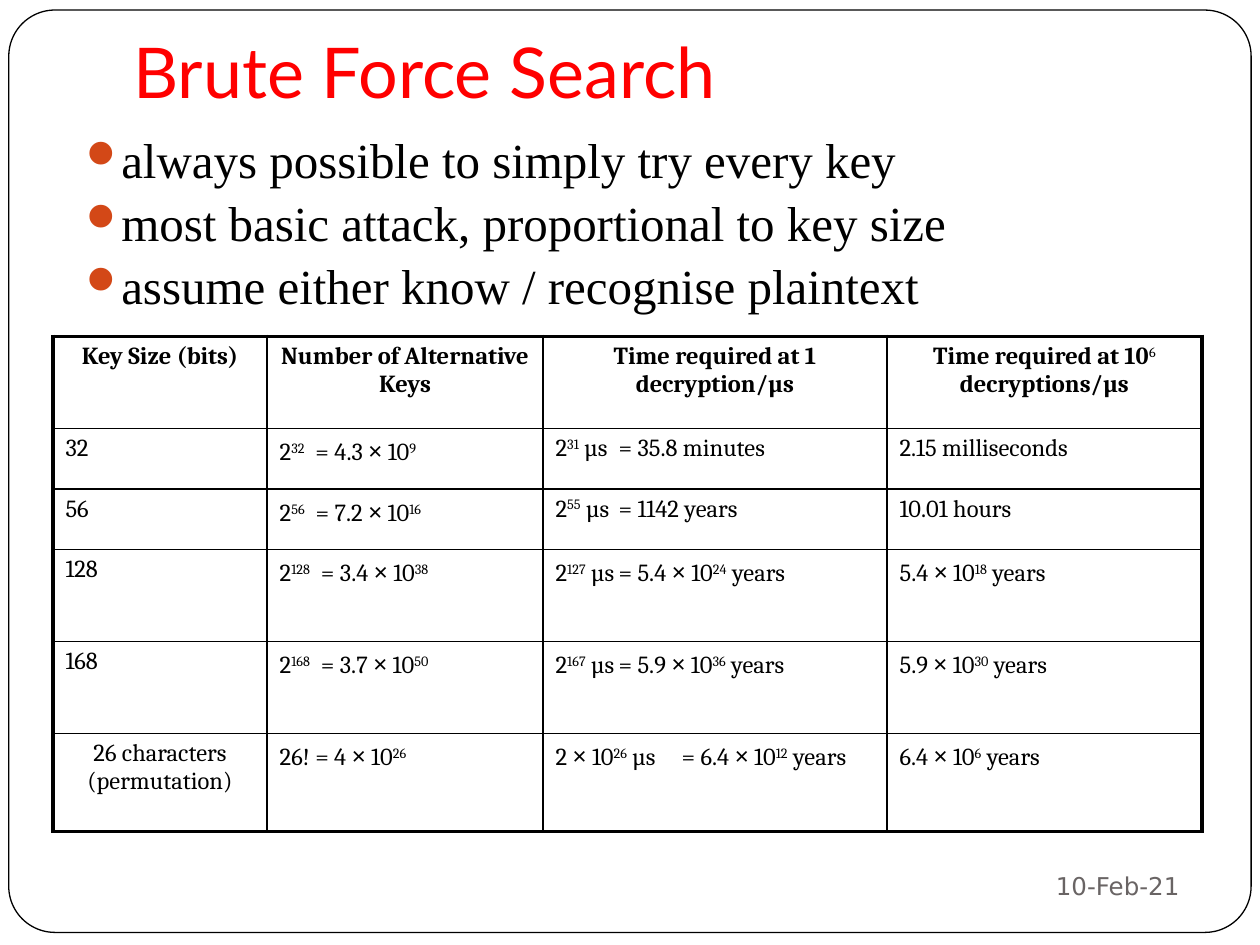
from lxml import etree
from pptx import Presentation
from pptx.dml.color import RGBColor
from pptx.enum.shapes import MSO_SHAPE
from pptx.enum.text import MSO_ANCHOR, PP_ALIGN
from pptx.oxml.ns import qn
from pptx.util import Inches, Pt

ROUND = MSO_SHAPE.ROUNDED_RECTANGLE
TOP, MIDDLE, BOTTOM = MSO_ANCHOR.TOP, MSO_ANCHOR.MIDDLE, MSO_ANCHOR.BOTTOM
LEFT, CENTER, RIGHT = PP_ALIGN.LEFT, PP_ALIGN.CENTER, PP_ALIGN.RIGHT

COLORS = {"page": "FFFFFF", "ink": "000000", "title": "FF0000",
          "bullet": "D34817", "date": "696464"}
GRID_COLS, GRID_ROWS = 100, 75
THIN, THICK = 1, 2.25

POINTS = ["always possible to simply try every key",
          "most basic attack, proportional to key size",
          "assume either know / recognise plaintext"]

COL_WIDTHS = [17, 21.9, 27.3, 25]
ROW_HEIGHTS = [7.3, 4.8, 4.8, 7.3, 7.3, 7.8]
# Text between carets is superscript.
ROWS = [
    ["Key Size (bits)", "Number of Alternative Keys",
     "Time required at 1 decryption/µs", "Time required at 10^6^ decryptions/µs"],
    ["32", "2^32^  = 4.3 × 10^9^", "2^31^ µs\t= 35.8 minutes", "2.15 milliseconds"],
    ["56", "2^56^  = 7.2 × 10^16^", "2^55^ µs\t= 1142 years", "10.01 hours"],
    ["128", "2^128^  = 3.4 × 10^38^", "2^127^ µs\t= 5.4 × 10^24^ years",
     "5.4 × 10^18^ years"],
    ["168", "2^168^  = 3.7 × 10^50^", "2^167^ µs\t= 5.9 × 10^36^ years",
     "5.9 × 10^30^ years"],
    ["26 characters (permutation)", "26! = 4 × 10^26^",
     "2 × 10^26^ µs\t= 6.4 × 10^12^ years", "6.4 × 10^6^ years"],
]


def unit(count):
    return Inches(count / 10)


def paint(name):
    return RGBColor.from_string(COLORS[name])


def add_run(para, text, size, face, color, bold=False):
    run = para.add_run()
    run.text = text
    font = run.font
    font.size, font.name, font.bold = Pt(size), face, bold
    font.color.rgb = paint(color)
    return run


def add_math(para, text, bold):
    for index, part in enumerate(text.split("^")):
        raised = index % 2 == 1
        for bit in filter(None, part.replace("×", "|×|").split("|")):
            face = "Noto Sans" if bit == "×" else "Cambria"
            run = add_run(para, bit, 14, face, "ink", bold and not raised)
            if raised:
                run.font._element.set("baseline", "30000")


def add_frame(slide):
    frame = slide.shapes.add_shape(ROUND, unit(0.7), unit(0.8), unit(98.6), unit(73.2))
    frame.adjustments[0] = 0.05
    frame.shadow.inherit = False
    frame.fill.solid()
    frame.fill.fore_color.rgb = paint("page")
    frame.line.color.rgb = paint("ink")
    frame.line.width = Pt(0.75)


def add_box(slide, left, top, width, height, anchor=TOP):
    box = slide.shapes.add_textbox(unit(left), unit(top), unit(width), unit(height))
    frame = box.text_frame
    frame.word_wrap = True
    frame.vertical_anchor = anchor
    return frame


def add_bullet(para):
    props = para._p.get_or_add_pPr()
    props.set("marL", str(unit(3)))
    props.set("indent", str(-unit(3)))
    color = etree.SubElement(props, qn("a:buClr"))
    etree.SubElement(color, qn("a:srgbClr"), val=COLORS["bullet"])
    etree.SubElement(props, qn("a:buChar"), char="⚫")


def add_list(frame, items):
    for index, item in enumerate(items):
        para = frame.add_paragraph() if index else frame.paragraphs[0]
        add_bullet(para)
        para.line_spacing = 0.9
        if index:
            para.space_before = Pt(5.8)
        add_run(para, item, 28, "Times New Roman", "ink")


def add_edges(cell, edges):
    props = cell._tc.get_or_add_tcPr()
    for side, outer in edges.items():
        width = Pt(THICK if outer else THIN)
        line = etree.SubElement(props, qn(f"a:ln{side}"), w=str(width))
        fill = etree.SubElement(line, qn("a:solidFill"))
        etree.SubElement(fill, qn("a:srgbClr"), val=COLORS["ink"])


def add_grid(slide):
    last_row, last_col = len(ROWS) - 1, len(COL_WIDTHS) - 1
    table = slide.shapes.add_table(
        len(ROWS), len(COL_WIDTHS), unit(4.2), unit(26.7),
        unit(sum(COL_WIDTHS)), unit(sum(ROW_HEIGHTS))).table
    table.first_row = table.horz_banding = False
    for col, width in zip(table.columns, COL_WIDTHS):
        col.width = unit(width)
    for row, height in zip(table.rows, ROW_HEIGHTS):
        row.height = unit(height)
    for y, texts in enumerate(ROWS):
        for x, text in enumerate(texts):
            cell = table.cell(y, x)
            add_edges(cell, {"L": x == 0, "R": x == last_col,
                             "T": y == 0, "B": y == last_row})
            cell.fill.background()
            para = cell.text_frame.paragraphs[0]
            middle = y == 0 or (y == last_row and x == 0)
            para.alignment = CENTER if middle else LEFT
            add_math(para, text, y == 0)


def main():
    deck = Presentation()
    deck.slide_width, deck.slide_height = unit(GRID_COLS), unit(GRID_ROWS)
    slide = deck.slides.add_slide(deck.slide_layouts[6])
    add_frame(slide)

    title = add_box(slide, 9.6, 1.2, 85, 8.7, BOTTOM)
    title.margin_bottom = unit(1)
    add_run(title.paragraphs[0], "Brute Force Search", 40, "Lato", "title")

    add_list(add_box(slide, 5.4, 10.3, 90, 15.8), POINTS)
    add_grid(slide)

    date = add_box(slide, 67.5, 67.7, 27.1, 5.2, MIDDLE).paragraphs[0]
    date.alignment = RIGHT
    add_run(date, "10-Feb-21", 14, "DejaVu Sans", "date")
    deck.save("out.pptx")


if __name__ == "__main__":
    main()
